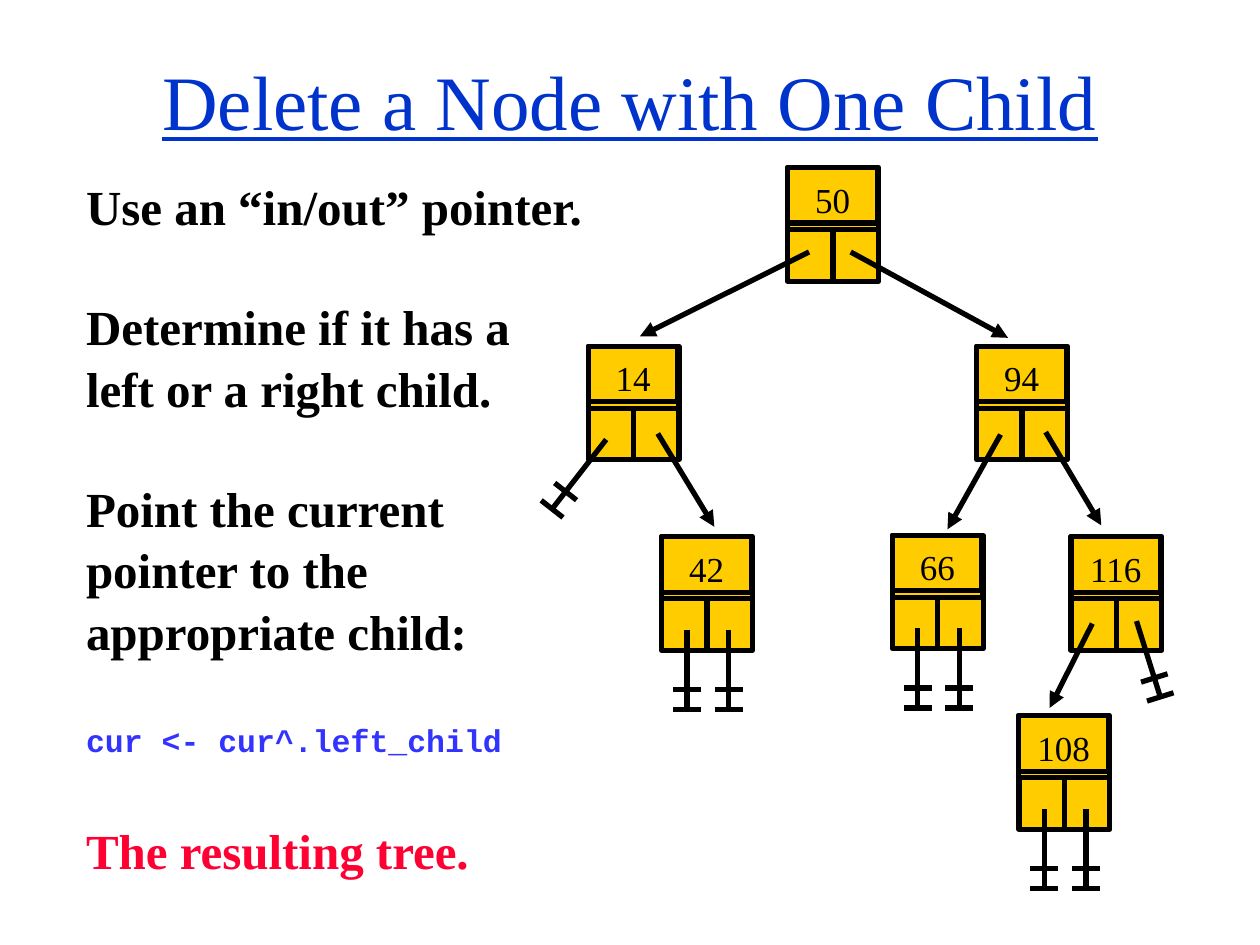
from dataclasses import dataclass
from math import hypot

from lxml.etree import SubElement
from pptx import Presentation
from pptx.dml.color import RGBColor as RGB
from pptx.enum.shapes import MSO_CONNECTOR as Link, MSO_SHAPE as Preset
from pptx.enum.text import MSO_ANCHOR as Anchor, MSO_AUTO_SIZE as Fit, PP_ALIGN as Align
from pptx.oxml.ns import qn
from pptx.util import Cm, Pt


@dataclass(frozen=True)
class Theme:
    serif: str = "Times New Roman"
    mono: str = "Courier New"
    title: RGB = RGB(0x00, 0x33, 0xCC)
    text: RGB = RGB(0x01, 0x00, 0x00)
    code: RGB = RGB(0x33, 0x33, 0xFF)
    result: RGB = RGB(0xFF, 0x00, 0x33)
    paper: RGB = RGB(0xFF, 0xFF, 0xFF)
    node: RGB = RGB(0xFF, 0xCC, 0x00)
    ink: RGB = RGB(0x00, 0x00, 0x00)
    title_size: Pt = Pt(44)
    text_size: Pt = Pt(28)
    code_size: Pt = Pt(18)
    key_size: Pt = Pt(20)
    stroke: Pt = Pt(3)


theme = Theme()


def add_block(shapes, left, top, width, height):
    block = shapes.add_shape(Preset.RECTANGLE, Cm(left), Cm(top), Cm(width), Cm(height))
    block.shadow.inherit = False
    block.fill.solid()
    block.fill.fore_color.rgb = theme.node
    block.line.color.rgb = theme.ink
    block.line.width = theme.stroke
    return block


def add_line(shapes, start, end, arrow=False):
    line = shapes.add_connector(Link.STRAIGHT, *(Cm(v) for v in (*start, *end)))
    line.line.color.rgb = theme.ink
    line.line.width = theme.stroke
    properties = line.element.spPr
    if arrow:
        SubElement(properties.find(qn("a:ln")), qn("a:tailEnd"), type="triangle")
    SubElement(properties, qn("a:effectLst"))


deck = Presentation()
deck.slide_width, deck.slide_height = Cm(25.4), Cm(19.05)
slide = deck.slides.add_slide(deck.slide_layouts[1])
heading, steps = slide.placeholders

# Title
for name, value in dict(left=1.9, top=1.06, width=21.6, height=1.9).items():
    setattr(heading, name, Cm(value))
heading.text_frame.text = "Delete a Node with One Child"
heading.text_frame.auto_size = Fit.NONE
heading.text_frame.vertical_anchor = Anchor.MIDDLE
heading_line = heading.text_frame.paragraphs[0]
heading_line.alignment = Align.CENTER
for name, value in dict(name=theme.serif, size=theme.title_size, underline=True).items():
    setattr(heading_line.font, name, value)
heading_line.font.color.rgb = theme.title

# Steps
for name, value in dict(left=1.48, top=3.38, width=10.58, height=14.4).items():
    setattr(steps, name, Cm(value))
steps.fill.solid()
steps.fill.fore_color.rgb = theme.paper
steps.text_frame.auto_size = Fit.NONE
plain = (theme.serif, theme.text_size, theme.text)
step_lines = [
    ("Use an “in/out” pointer.", *plain),
    ("Determine if it has a left or a right child.", *plain),
    ("Point the current\vpointer to the appropriate child:", *plain),
    ("cur <- cur^.left_child", theme.mono, theme.code_size, theme.code),
    ("The resulting tree.", theme.serif, theme.text_size, theme.result),
]
for i, (wording, face, size, color) in enumerate(step_lines):
    step = steps.text_frame.paragraphs[0] if i == 0 else steps.text_frame.add_paragraph()
    step.text = wording
    indent = step._p.get_or_add_pPr()
    indent.set("marL", "0")
    indent.set("indent", "0")
    SubElement(indent, qn("a:buNone"))
    step.alignment = Align.LEFT
    step.line_spacing = 1.04
    step.space_before = Pt(34 if i else 0)
    for name, value in dict(name=face, size=size, bold=True).items():
        setattr(step.font, name, value)
    step.font.color.rgb = color

# Tree nodes: a key above two pointer cells
nodes = {
    "14": (11.86, 6.98),
    "50": (15.88, 3.38),
    "94": (19.69, 6.98),
    "116": (21.59, 10.82),
    "108": (20.54, 14.43),
    "66": (17.99, 10.79),
    "42": (13.34, 10.82),
}
for key, (x, y) in nodes.items():
    node = slide.shapes.add_group_shape().shapes
    add_block(node, x, y, 1.83, 1.25)
    for side in range(2):
        add_block(node, x + side * 0.915, y + 1.25, 0.915, 1.04)
    key_box = add_block(node, x, y, 1.81, 1.12)
    key_box.text_frame.margin_top, key_box.text_frame.margin_bottom = Cm(0.15), 0
    key_box.text_frame.vertical_anchor = Anchor.MIDDLE
    key_line = key_box.text_frame.paragraphs[0]
    key_line.text = key
    key_line.alignment = Align.CENTER
    for name, value in dict(name=theme.serif, size=theme.key_size).items():
        setattr(key_line.font, name, value)
    key_line.font.color.rgb = theme.ink

# Pointers to children
child_pointers = [
    ((16.31, 5.08), (12.9, 6.78)),
    ((17.15, 5.08), (20.32, 6.81)),
    ((13.26, 8.74), (14.4, 10.62)),
    ((20.17, 8.76), (19.1, 10.67)),
    ((21.08, 8.71), (22.2, 10.59)),
    ((22.02, 12.57), (21.16, 14.27)),
]
for start, end in child_pointers:
    add_line(slide.shapes, start, end, arrow=True)

# Null pointers: a stem with bars across it at three quarters and at its end
null_pointers = [((12.22, 8.86), (11.13, 10.26)), ((22.91, 12.52), (23.39, 14.05))]
for leaf in ("42", "66", "108"):
    x, y = nodes[leaf]
    null_pointers += [((x + dx, y + 1.88), (x + dx, y + 3.48)) for dx in (0.51, 1.35)]
half_bar = 0.28
for (x1, y1), (x2, y2) in null_pointers:
    null = slide.shapes.add_group_shape().shapes
    add_line(null, (x1, y1), (x2, y2))
    scale = half_bar / hypot(x2 - x1, y2 - y1)
    across_x, across_y = (y2 - y1) * scale, (x1 - x2) * scale
    for part in (0.75, 1):
        x, y = x1 + (x2 - x1) * part, y1 + (y2 - y1) * part
        add_line(null, (x - across_x, y - across_y), (x + across_x, y + across_y))

deck.save("out.pptx")
